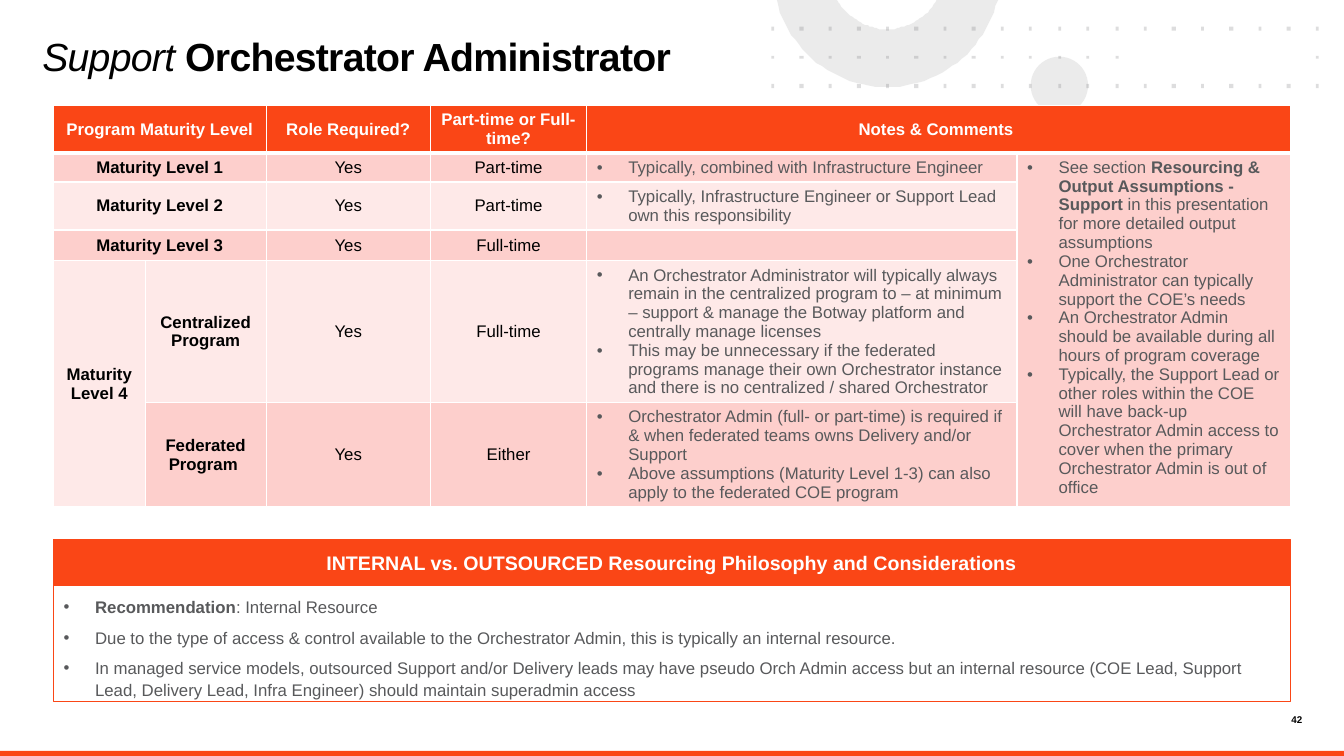
import math
from dataclasses import dataclass

from lxml import etree
from pptx import Presentation
from pptx.dml.color import RGBColor
from pptx.enum import shapes, text
from pptx.oxml import ns
from pptx.util import Pt

ORANGE = RGBColor(0xFA, 0x46, 0x16)
PINK = RGBColor(0xFD, 0xCF, 0xCC)
PALE = RGBColor(0xFE, 0xE9, 0xE8)
GREY = RGBColor(0x58, 0x59, 0x5B)
SILVER = RGBColor(0xD9, 0xD9, 0xD9)
BLACK = RGBColor(0, 0, 0)
WHITE = RGBColor(255, 255, 255)

LEFT, WIDTH = 38.2, 883.4
INDENT = 22.5
CENTER, MIDDLE = text.PP_ALIGN.CENTER, text.MSO_ANCHOR.MIDDLE


@dataclass(frozen=True)
class Run:
    text: str
    bold: bool = False
    italic: bool = False


@dataclass(frozen=True)
class Cell:
    row: int
    col: int
    paras: tuple[tuple[Run, ...], ...] = ()
    bullets: bool = False
    rows: int = 1
    cols: int = 1


def label(row: int, col: int, words: str, bold: bool = False, rows: int = 1, cols: int = 1) -> Cell:
    return Cell(row, col, ((Run(words, bold),),), False, rows, cols)


def notes(row: int, *items: str) -> Cell:
    return Cell(row, 4, tuple((Run(item),) for item in items), True)


CELLS = [
    label(0, 0, "Program Maturity Level", True, cols=2),
    label(0, 2, "Role Required?", True),
    label(0, 3, "Part-time or Full-time?", True),
    label(0, 4, "Notes & Comments ", True, cols=2),
    *(label(n, 0, f"Maturity Level {n}", True, cols=2) for n in (1, 2, 3)),
    label(4, 0, "Maturity Level 4", True, rows=2),
    label(4, 1, "Centralized Program", True),
    label(5, 1, "Federated Program ", True),
    *(label(n, 2, "Yes") for n in range(1, 6)),
    *(label(n, 3, load) for n, load in enumerate(
        ("Part-time", "Part-time", "Full-time", "Full-time", "Either"), 1)),
    notes(1, "Typically, combined with Infrastructure Engineer"),
    notes(2, "Typically, Infrastructure Engineer or Support Lead own this responsibility"),
    Cell(3, 4),
    notes(4, "An Orchestrator Administrator will typically always remain in the centralized program to "
             "– at minimum – support & manage the Botway platform and centrally manage licenses",
          "This may be unnecessary if the federated programs manage their own Orchestrator instance "
          "and there is no centralized / shared Orchestrator"),
    notes(5, "Orchestrator Admin (full- or part-time) is required if & when federated teams owns "
             "Delivery and/or Support",
          "Above assumptions (Maturity Level 1-3) can also apply to the federated COE program"),
    Cell(1, 5, (
        (Run("See section "), Run("Resourcing & Output Assumptions - Support ", True),
         Run("in this presentation for more detailed output assumptions")),
        (Run("One Orchestrator Administrator can typically support the COE’s needs"),),
        (Run("An Orchestrator Admin should be available during all hours of program coverage"),),
        (Run("Typically, the Support Lead or other roles within the COE will have back-up Orchestrator "
             "Admin access to cover when the primary Orchestrator Admin is out of office"),),
    ), True, rows=5),
]

PHILOSOPHY = (
    (Run("Recommendation", True), Run(": Internal Resource")),
    (Run("Due to the type of access & control available to the Orchestrator Admin, "
         "this is typically an internal resource."),),
    (Run("In managed service models, outsourced Support and/or Delivery leads may have pseudo Orch Admin "
         "access but an internal resource (COE Lead, Support Lead, Delivery Lead, Infra Engineer) "
         "should maintain superadmin access"),),
)


def add_bullet(p) -> None:
    pPr = p._p.get_or_add_pPr()
    pPr.set("marL", str(Pt(INDENT)))
    pPr.set("indent", str(-Pt(INDENT)))
    etree.SubElement(pPr, ns.qn("a:buFont"), typeface="Arial")
    etree.SubElement(pPr, ns.qn("a:buChar"), char="•")


def write(tf, paras, size: float, color: RGBColor, align=text.PP_ALIGN.LEFT, bullets: bool = False,
          after: float = 0, spacing: float = 1.0) -> None:
    tf.word_wrap = True
    for i, runs in enumerate(paras):
        p = tf.add_paragraph() if i else tf.paragraphs[0]
        p.alignment, p.line_spacing = align, spacing
        p.space_before, p.space_after = Pt(0), Pt(after)
        if bullets:
            add_bullet(p)
        for run in runs:
            r = p.add_run()
            r.text = run.text
            r.font.name, r.font.size = "Arial", Pt(size)
            r.font.bold, r.font.italic = run.bold, run.italic
            r.font.color.rgb = color


def set_margins(tf, inset: float) -> None:
    tf.margin_left = tf.margin_top = tf.margin_right = tf.margin_bottom = Pt(inset)


def place(sp, x: float, y: float, w: float, h: float) -> None:
    sp.left, sp.top, sp.width, sp.height = Pt(x), Pt(y), Pt(w), Pt(h)


def paint(sp, color: RGBColor, opacity: int = 100) -> None:
    sp.shadow.inherit = False
    sp.fill.solid()
    sp.fill.fore_color.rgb = color
    sp.line.fill.background()
    if opacity < 100:
        clr = sp._element.spPr.find(".//" + ns.qn("a:srgbClr"))
        etree.SubElement(clr, ns.qn("a:alpha"), val=str(opacity * 1000))


def outline(s, contours):
    fb = s.shapes.build_freeform(*contours[0][0], scale=Pt(1))
    for i, points in enumerate(contours):
        if i:
            fb.move_to(*points[0])
        fb.add_line_segments(points[1:], close=True)
    return fb.convert_to_shape()


def arc(radius: float, cx: float = 633.6, cy: float = -19.4, steps: int = 48):
    """Part of a circle lying below the slide's top edge, right to left."""
    start = math.asin(-cy / radius)
    angles = [start + (math.pi - 2 * start) * i / steps for i in range(steps + 1)]
    return [(cx + radius * math.cos(a), cy + radius * math.sin(a)) for a in angles]


def add_borders(cell, bottom: float) -> None:
    tcPr = cell._tc.get_or_add_tcPr()
    for side, width in (("L", 1), ("R", 1), ("T", 1), ("B", bottom)):
        ln = etree.SubElement(tcPr, ns.qn(f"a:ln{side}"), w=str(Pt(width)))
        fill = etree.SubElement(ln, ns.qn("a:solidFill"))
        etree.SubElement(fill, ns.qn("a:srgbClr"), val=str(WHITE))


def add_maturity_table(s) -> None:
    cols = (65.5, 86.4, 117.4, 111.6, 307.4, 195.1)
    rows = (33.6, 20.4, 34.4, 20.4, 101.4, 74)
    table = s.shapes.add_table(len(rows), len(cols), Pt(LEFT), Pt(75.2), Pt(WIDTH), Pt(sum(rows))).table
    table.horz_banding = False
    for column, w in zip(table.columns, cols):
        column.width = Pt(w)
    for i, (row, h) in enumerate(zip(table.rows, rows)):
        row.height = Pt(h)
        for cell in row.cells:
            add_borders(cell, 1 if i else 3)
            cell.fill.solid()
            cell.fill.fore_color.rgb = (PINK if i % 2 else PALE) if i else ORANGE
    for c in CELLS:
        cell = table.cell(c.row, c.col)
        if c.rows * c.cols > 1:
            cell.merge(table.cell(c.row + c.rows - 1, c.col + c.cols - 1))
        if not c.paras:
            etree.SubElement(cell.text_frame.paragraphs[0]._p, ns.qn("a:endParaRPr"), sz="1200")
        elif c.bullets:
            write(cell.text_frame, c.paras, 12, GREY, bullets=True)
        else:
            cell.vertical_anchor = MIDDLE
            write(cell.text_frame, c.paras, 12, BLACK if c.row else WHITE, CENTER)


def main() -> None:
    prs = Presentation()
    prs.slide_width, prs.slide_height = Pt(960), Pt(540)
    s = prs.slides.add_slide(prs.slide_layouts[1])

    # Background decoration
    circle = s.shapes.add_shape(shapes.MSO_SHAPE.OVAL, Pt(736.2), Pt(40.5), Pt(41), Pt(41))
    paint(circle, SILVER, 50)
    paint(outline(s, [arc(81.4) + arc(40.3)[::-1]]), SILVER, 50)
    dots = [(551 + 20.46 * i, 19.4 + 20.5 * j) for j in range(3) for i in range(20)
            if j != 1 or i < 13 or i == 19]
    d = 2.3
    paint(outline(s, [[(x, y), (x + d, y), (x + d, y + d), (x, y + d)] for x, y in dots]), GREY, 20)
    bar = s.shapes.add_shape(shapes.MSO_SHAPE.RECTANGLE, Pt(0), Pt(536.4), Pt(960), Pt(3.6))
    paint(bar, ORANGE)

    # Title
    title = s.shapes.title
    place(title, 30.2, 28.1, 520.6, 54)
    tf = title.text_frame
    set_margins(tf, 0)
    tf.auto_size, tf.vertical_anchor = text.MSO_AUTO_SIZE.NONE, text.MSO_ANCHOR.TOP
    write(tf, [(Run("Support ", italic=True), Run("Orchestrator Administrator", True))],
          28, BLACK, spacing=0.85)
    for r in tf.paragraphs[0].runs:
        r.font._element.set("spc", "-50")

    add_maturity_table(s)

    # Resourcing philosophy panel
    body = s.placeholders[1]
    place(body, LEFT, 417.6, WIDTH, 83.5)
    body.fill.solid()
    body.fill.fore_color.rgb = WHITE
    body.text_frame.auto_size = text.MSO_AUTO_SIZE.NONE
    write(body.text_frame, PHILOSOPHY, 12, GREY, bullets=True, after=6, spacing=1.1)
    header = s.shapes.add_shape(shapes.MSO_SHAPE.RECTANGLE, Pt(LEFT), Pt(385.2), Pt(WIDTH), Pt(33))
    paint(header, ORANGE)
    header.text_frame.vertical_anchor = MIDDLE
    write(header.text_frame, [(Run("INTERNAL vs. OUTSOURCED Resourcing Philosophy and Considerations", True),)],
          14, WHITE, CENTER)
    for sp in (body, header):
        set_margins(sp.text_frame, 7.2)
        sp.line.color.rgb, sp.line.width = ORANGE, Pt(0.75)

    # Page number
    number = s.shapes.add_textbox(Pt(902.2), Pt(509.8), Pt(28), Pt(9.4))
    set_margins(number.text_frame, 0)
    write(number.text_frame, [(Run("42", True),)], 7, BLACK, text.PP_ALIGN.RIGHT)

    prs.save("out.pptx")


if __name__ == "__main__":
    main()
